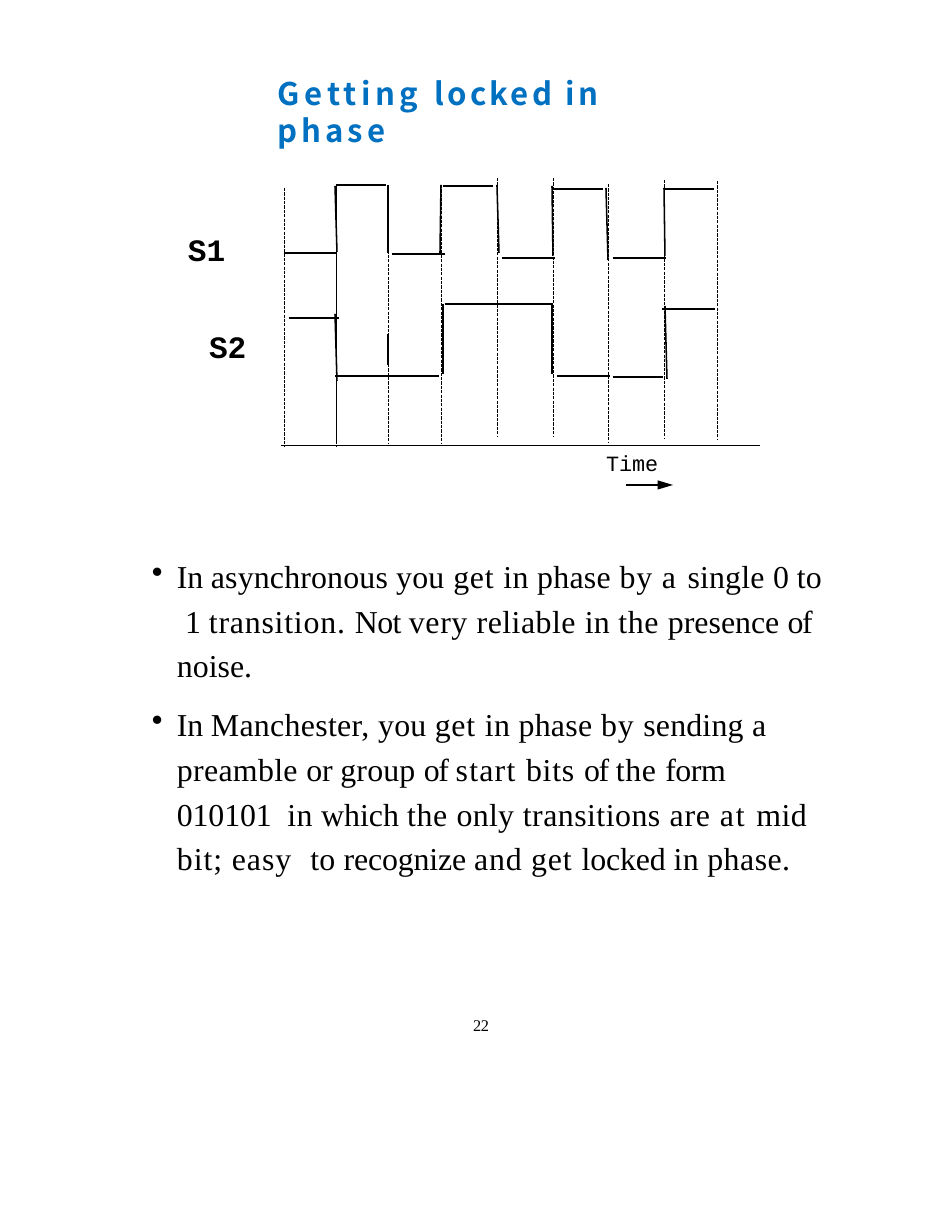
from lxml.etree import SubElement
from pptx import Presentation
from pptx.dml.color import RGBColor
from pptx.enum.dml import MSO_LINE
from pptx.enum.shapes import MSO_CONNECTOR
from pptx.oxml.ns import qn
from pptx.util import Emu, Pt

PX = 914400 // 112
BLACK, BLUE = "000000", "0070C0"
MONO, SERIF, SANS = "Courier New", "Times New Roman", "Noto Sans CJK TC"

# Runs are (text, letter spacing in points)
TITLE = [("Getting ", 2.9), ("locked ", 2), ("in ", 2.2), ("phase", 2.5)]
BULLETS = [
    [("In ", -0.2), ("asynchronous you ", 0.1), ("get ", 0.5), ("in phase ", 0.2),
     ("by ", 0.5), ("a ", 1.1), ("single ", 0.1), ("0 ", -0.1), ("to  ", 0.1),
     ("1 ", -0.1), ("transition. ", 0.5), ("Not ", -0.4), ("very ", 0.4),
     ("reliable ", 0.3), ("in ", 0.2), ("the ", 0.4), ("presence ", 0),
     ("of  ", -0.9), ("noise.", 0)],
    [("In ", -0.2), ("Manchester, ", 0.2), ("you ", 0.1), ("get ", 0.5),
     ("in phase ", 0.2), ("by ", 0.5), ("sending ", 0.1), ("a  ", 1.1),
     ("preamble ", 0.2), ("or ", -0.2), ("group ", 0.1), ("of ", -0.9),
     ("start ", 0.8), ("bits ", 0.5), ("of ", -0.9), ("the ", 0.4),
     ("form ", -0.3), ("010101  ", -0.1), ("in ", 0.2), ("which ", 0),
     ("the ", 0.4), ("only ", 0.2), ("transitions ", 0.3), ("are ", 0.5),
     ("at ", 1.2), ("mid ", 0.3), ("bit; easy  ", 0.6), ("to ", 0.1),
     ("recognize ", -0.1), ("and get ", 0.5), ("locked ", -0.1), ("in ", 0.2),
     ("phase.", 0.3)],
]

# Dashed bit boundaries: (x, top)
GUIDE_HEIGHT = 258
GUIDES = [(284, 188), (336, 188), (336, 185), (388, 185), (441, 185),
          (497, 178), (553, 178), (608, 184), (664, 180), (717, 181)]

# Signal levels: (left, y, width); signal edges: (x1, y1, x2, y2)
S1_LEVELS = [(284, 253, 53), (336, 185, 50), (392, 254, 53), (443, 186, 50),
             (502, 258, 53), (553, 189, 50), (613, 258, 53), (664, 189, 50)]
S1_EDGES = [(337, 252, 335, 186), (388, 185, 388, 253), (441, 185, 440, 253),
            (497, 185, 499, 253), (552, 186, 553, 256), (606, 188, 608, 260),
            (664, 188, 665, 256)]
S2_LEVELS = [(289, 318, 50), (335, 376, 104), (445, 304, 108),
             (557, 376, 53), (613, 377, 50), (662, 309, 53)]
S2_EDGES = [(337, 381, 335, 314), (388, 334, 388, 365), (443, 304, 443, 374),
            (552, 304, 552, 374), (665, 306, 667, 379)]

deck = Presentation()
deck.slide_width, deck.slide_height = Emu(952 * PX), Emu(1232 * PX)
slide = deck.slides.add_slide(deck.slide_layouts[6])


def rgb(code):
    return RGBColor.from_string(code)


def draw_line(x1, y1, x2, y2, weight=1):
    line = slide.shapes.add_connector(
        MSO_CONNECTOR.STRAIGHT, *(Emu(v * PX) for v in (x1, y1, x2, y2)))
    line.line.color.rgb = rgb(BLACK)
    line.line.width = Pt(weight)
    SubElement(line._element.spPr, qn("a:effectLst"))
    return line


def add_text(left, top, width, height, paragraphs, font, size, color=BLACK, bold=False):
    box = slide.shapes.add_textbox(*(Emu(v * PX) for v in (left, top, width, height)))
    frame = box.text_frame
    frame.word_wrap = True
    frame.margin_left = frame.margin_right = frame.margin_top = frame.margin_bottom = 0
    for i, runs in enumerate(paragraphs):
        paragraph = frame.add_paragraph() if i else frame.paragraphs[0]
        paragraph.font.name, paragraph.font.size = font, Pt(size)
        paragraph.font.bold = bold
        paragraph.font.color.rgb = rgb(color)
        for text, spacing in runs:
            run = paragraph.add_run()
            run.text = text
            run.font._element.set("spc", str(round(spacing * 100)))
    return frame.paragraphs


# Title
add_text(278, 74, 393, 80, [TITLE], SANS, 20, BLUE, bold=True)

# Time axis and bit boundaries
draw_line(281, 445, 760, 445, 0.25)
for x, top in GUIDES:
    draw_line(x, top, x, top + GUIDE_HEIGHT, 0.25).line.dash_style = MSO_LINE.LONG_DASH

# Signals
for left, y, width in S1_LEVELS + S2_LEVELS:
    draw_line(left, y, left + width, y)
for edge in S1_EDGES + S2_EDGES:
    draw_line(*edge)

# Signal and axis labels
for name, left, top in [("S1", 188, 230), ("S2", 209, 327)]:
    add_text(left, top, 48, 42, [[(name, -0.1)]], MONO, 20, bold=True)
add_text(606, 450, 60, 30, [[("Time", 0)]], MONO, 14)

# Time arrow
arrow = draw_line(626, 485, 673, 485)
SubElement(arrow.line._get_or_add_ln(), qn("a:tailEnd"), type="triangle", w="med", len="lg")

# Bullets
for i, bullet in enumerate(add_text(151, 550, 676, 329, BULLETS, SERIF, 20.5)):
    bullet.line_spacing = 1.17
    bullet.space_before = Pt(8.9 if i else 0)
    properties = bullet._p.get_or_add_pPr()
    properties.set("marL", str(26 * PX))
    properties.set("indent", str(-25 * PX))
    mark = properties.makeelement(qn("a:buChar"), {"char": "•"})
    properties.insert_element_before(mark, "a:tabLst", "a:defRPr", "a:extLst")

# Page number
page, = add_text(473, 1016, 22, 20, [[("22", -0.1)]], SERIF, 10.5)
page.line_spacing = Pt(12.3)

deck.save("out.pptx")
